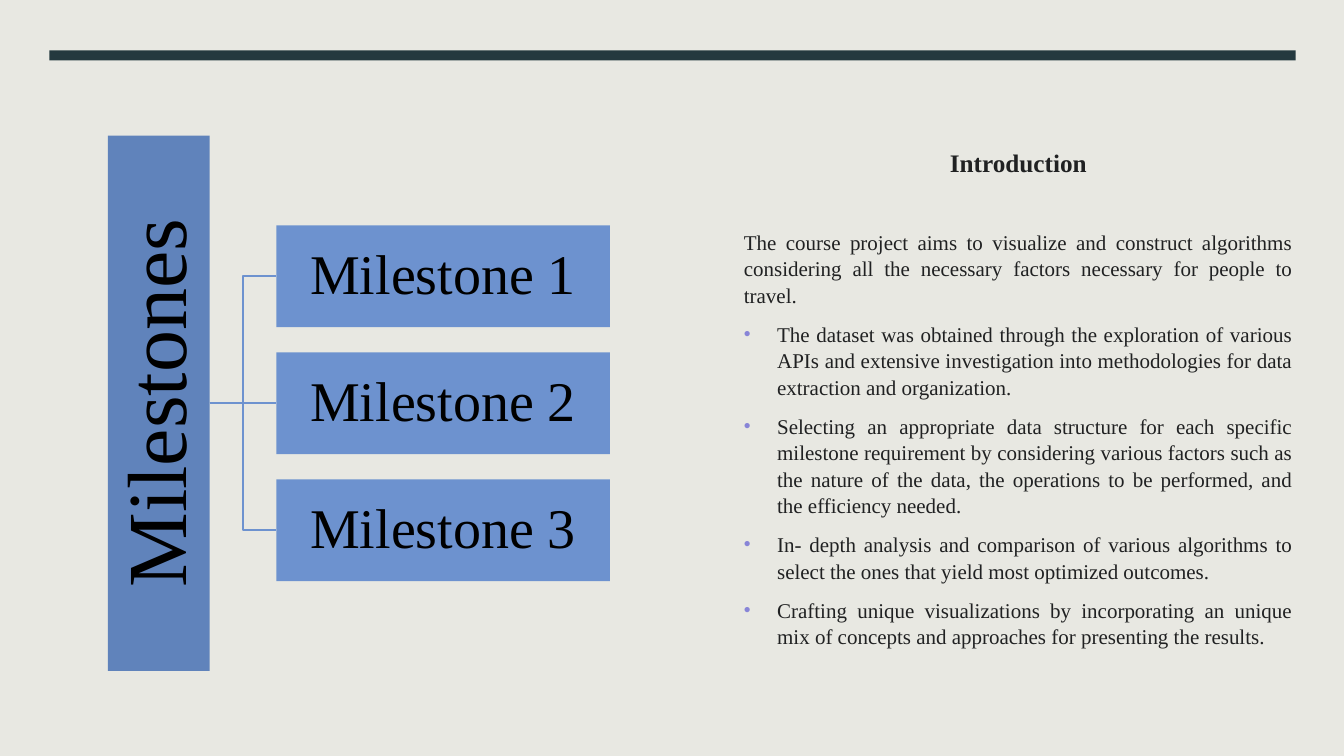
import pptx
import pptx.dml.color
import pptx.enum.shapes
import pptx.enum.text
import pptx.oxml
import pptx.oxml.ns
import pptx.util
from pptx.util import Inches

ALIGN = pptx.enum.text.PP_ALIGN
ANCHOR = pptx.enum.text.MSO_ANCHOR
CONNECTOR = pptx.enum.shapes.MSO_CONNECTOR

INTRODUCTION = (
    "The course project aims to visualize and construct algorithms considering "
    "all the necessary factors necessary for people to travel."
)
POINTS = [
    "The dataset was obtained through the exploration of various APIs and extensive "
    "investigation into methodologies for data extraction and organization.",
    "Selecting an appropriate data structure for each specific milestone requirement "
    "by considering various factors such as the nature of the data, the operations "
    "to be performed, and the efficiency needed.",
    "In- depth analysis and comparison of various algorithms to select the ones that "
    "yield most optimized outcomes.",
    "Crafting unique visualizations by incorporating an unique mix of concepts and "
    "approaches for presenting the results.",
]


def color(value):
    return pptx.dml.color.RGBColor.from_string(value)


def add_bullet(paragraph, bullet_color):
    properties = paragraph._p.get_or_add_pPr()
    indent = Inches(0.33)
    properties.set("marL", str(indent))
    properties.set("indent", str(-indent))
    namespace = pptx.oxml.ns.nsdecls("a")
    for element in (
        f'<a:buClr {namespace}><a:srgbClr val="{bullet_color}"/></a:buClr>',
        f'<a:buSzPct {namespace} val="92000"/>',
        f'<a:buFont {namespace} typeface="Arial"/>',
        f'<a:buChar {namespace} char="•"/>',
    ):
        properties.append(pptx.oxml.parse_xml(element))


def write(paragraph, text, *, font, size, ink, bold=False, align=ALIGN.CENTER,
          before=0, after=0, spacing=1.0, bullet=None):
    if bullet:
        add_bullet(paragraph, bullet)
    paragraph.alignment = align
    paragraph.space_before = pptx.util.Pt(before)
    paragraph.space_after = pptx.util.Pt(after)
    paragraph.line_spacing = spacing
    run = paragraph.add_run()
    run.text = text
    run.font.name = font
    run.font.size = pptx.util.Pt(size)
    run.font.bold = bold
    run.font.color.rgb = color(ink)


class MilestoneSlide:
    """Holds the style and the current slide, and adds its elements."""

    font = "Times New Roman"
    background = "E8E8E2"
    rule = "24393F"
    root = "6083BB"
    branch = "6D92CF"
    body = "202122"
    bullet = "8885D7"

    def __init__(self, presentation):
        self.slide = presentation.slides.add_slide(presentation.slide_layouts[6])
        fill = self.slide.background.fill
        fill.solid()
        fill.fore_color.rgb = color(self.background)

    def box(self, left, top, width, height, fill, text=None, size=40, rotation=0):
        shape = self.slide.shapes.add_shape(
            pptx.enum.shapes.MSO_SHAPE.RECTANGLE,
            Inches(left), Inches(top), Inches(width), Inches(height))
        shape.shadow.inherit = False
        shape.rotation = rotation
        shape.fill.solid()
        shape.fill.fore_color.rgb = color(fill)
        shape.line.fill.background()
        if text:
            frame = shape.text_frame
            frame.word_wrap = True
            frame.vertical_anchor = ANCHOR.MIDDLE
            frame.margin_left = frame.margin_right = Inches(0.03)
            frame.margin_top = frame.margin_bottom = Inches(0.03)
            write(frame.paragraphs[0], text, font=self.font, size=size,
                  ink="000000", spacing=0.9)

    def link(self, left, start, right, end):
        kind = CONNECTOR.STRAIGHT if start == end else CONNECTOR.ELBOW
        connector = self.slide.shapes.add_connector(
            kind, Inches(left), Inches(start), Inches(right), Inches(end))
        connector.line.color.rgb = color(self.branch)
        connector.line.width = pptx.util.Pt(1.75)
        connector._element.spPr.append(
            pptx.oxml.parse_xml(f'<a:effectLst {pptx.oxml.ns.nsdecls("a")}/>'))

    def text(self, left, top, width, height, title, lead, points):
        frame = self.slide.shapes.add_textbox(
            Inches(left), Inches(top), Inches(width), Inches(height)).text_frame
        frame.word_wrap = True
        frame.vertical_anchor = ANCHOR.TOP
        write(frame.paragraphs[0], title, font=self.font, size=18, ink=self.body,
              bold=True, after=6, spacing=1.05)
        style = dict(font=self.font, size=15, ink=self.body, align=ALIGN.JUSTIFY,
                     after=6, spacing=1.05)
        write(frame.add_paragraph(), lead, before=30, **style)
        for point in points:
            write(frame.add_paragraph(), point, before=3, bullet=self.bullet, **style)


def main():
    presentation = pptx.Presentation()
    presentation.slide_width = Inches(13.33)
    presentation.slide_height = Inches(7.5)
    page = MilestoneSlide(presentation)
    page.box(0.49, 0.5, 12.36, 0.1, page.rule)
    page.text(7.28, 1.4, 5.64, 4.9, "Introduction", INTRODUCTION, POINTS)

    middle, pitch, thickness = 4, 1.26, 1.01
    root_right, branch_left = 2.08, 2.74
    centers = [middle + pitch * step for step in (-1, 0, 1)]
    for center in centers:
        page.link(root_right, middle, branch_left, center)
    root_length = 5.31
    page.box(root_right - (thickness + root_length) / 2, middle - thickness / 2,
             root_length, thickness, page.root, "Milestones", size=60, rotation=270)
    for number, center in enumerate(centers, 1):
        page.box(branch_left, center - thickness / 2, 3.31, thickness,
                 page.branch, f"Milestone {number}")
    presentation.save("out.pptx")


if __name__ == "__main__":
    main()
